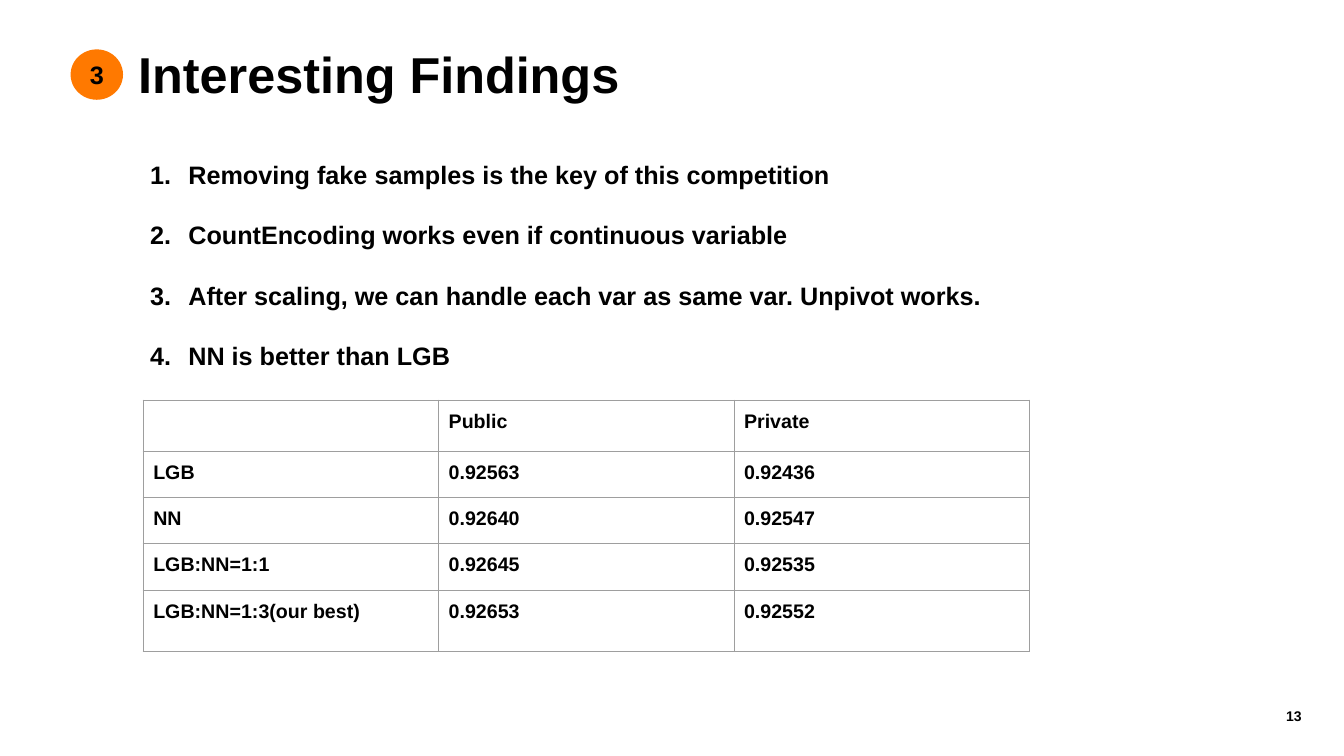
import pptx
import pptx.dml.color
import pptx.enum.shapes
import pptx.enum.text
import pptx.oxml
import pptx.util
from pptx.oxml.ns import nsdecls

Inches, Pt = pptx.util.Inches, pptx.util.Pt
ALIGN = pptx.enum.text.PP_ALIGN
MIDDLE = pptx.enum.text.MSO_ANCHOR.MIDDLE
COLORS = {"text": "000000", "badge": "FF7900", "border": "9E9E9E"}

FINDINGS = [
    "Removing fake samples is the key of this competition",
    "CountEncoding works even if continuous variable",
    "After scaling, we can handle each var as same var. Unpivot works.",
    "NN is better than LGB",
]
SCORES = [
    ["", "Public", "Private"],
    ["LGB", "0.92563", "0.92436"],
    ["NN", "0.92640", "0.92547"],
    ["LGB:NN=1:1", "0.92645", "0.92535"],
    ["LGB:NN=1:3(our best)", "0.92653", "0.92552"],
]
ROW_HEIGHTS = [0.49, 0.46, 0.46, 0.46, 0.61]
COLUMN_WIDTH = 2.93
TEXT_LEFT = 1.27


def add_text(paragraph, text, size, align=ALIGN.LEFT):
    """Add one bold black Arial run and align its paragraph."""
    paragraph.alignment = align
    run = paragraph.add_run()
    run.text = text
    run.font.name = "Arial"
    run.font.size = Pt(size)
    run.font.bold = True
    run.font.color.rgb = pptx.dml.color.RGBColor.from_string(COLORS["text"])


def fit_frame(frame, anchor=MIDDLE):
    """Wrap text at a fixed box size and set the anchor and insets."""
    frame.word_wrap = True
    frame.auto_size = pptx.enum.text.MSO_AUTO_SIZE.NONE
    frame.vertical_anchor = anchor
    frame.margin_left = frame.margin_right = Inches(0.1)
    frame.margin_top = frame.margin_bottom = Inches(0.05)
    return frame


deck = pptx.Presentation()
deck.slide_width, deck.slide_height = Inches(13.33), Inches(7.5)
slide = deck.slides.add_slide(deck.slide_layouts.get_by_name("Title Only"))

# Heading with its section number
title = slide.shapes.title
title.left, title.top = Inches(TEXT_LEFT), Inches(0.36)
title.width, title.height = Inches(5.09), Inches(0.62)
heading = fit_frame(title.text_frame).paragraphs[0]
heading.line_spacing = 1.2
add_text(heading, "Interesting Findings", 36)

badge = slide.shapes.add_shape(
    pptx.enum.shapes.MSO_SHAPE.OVAL,
    Inches(0.7), Inches(0.49), Inches(0.52), Inches(0.5))
badge.shadow.inherit = False
badge.fill.solid()
badge.fill.fore_color.rgb = pptx.dml.color.RGBColor.from_string(COLORS["badge"])
badge.line.fill.background()
add_text(fit_frame(badge.text_frame).paragraphs[0], "3", 18, ALIGN.CENTER)

# Numbered findings
findings = slide.shapes.add_textbox(
    Inches(TEXT_LEFT), Inches(1.23), Inches(10.73), Inches(2.6))
findings_frame = fit_frame(findings.text_frame, pptx.enum.text.MSO_ANCHOR.TOP)
for index, finding in enumerate(FINDINGS):
    item = findings_frame.add_paragraph() if index else findings_frame.paragraphs[0]
    properties = item._p.get_or_add_pPr()
    properties.set("marL", str(Inches(0.5)))
    properties.set("indent", str(Inches(-0.38)))
    for bullet in (
        f'<a:buClr {nsdecls("a")}><a:srgbClr val="{COLORS["text"]}"/></a:buClr>',
        f'<a:buFont {nsdecls("a")} typeface="Arial"/>',
        f'<a:buAutoNum {nsdecls("a")} type="arabicPeriod"/>',
    ):
        properties.append(pptx.oxml.parse_xml(bullet))
    item.line_spacing = 2.0
    add_text(item, finding, 18)

# Score table
scores = slide.shapes.add_table(
    len(SCORES), len(SCORES[0]), Inches(1.42), Inches(3.97),
    Inches(COLUMN_WIDTH * len(SCORES[0])), Inches(sum(ROW_HEIGHTS))).table
scores.first_row = scores.horz_banding = False
for column in scores.columns:
    column.width = Inches(COLUMN_WIDTH)
for row, height, values in zip(scores.rows, ROW_HEIGHTS, SCORES):
    row.height = Inches(height)
    for cell, value in zip(row.cells, values):
        cell.margin_left = cell.margin_right = Inches(0.1)
        cell.margin_top = cell.margin_bottom = Inches(0.1)
        cell.fill.background()
        for position, side in enumerate(("lnL", "lnR", "lnT", "lnB")):
            cell._tc.get_or_add_tcPr().insert(position, pptx.oxml.parse_xml(
                f'<a:{side} {nsdecls("a")} w="{Pt(0.75)}"><a:solidFill>'
                f'<a:srgbClr val="{COLORS["border"]}"/></a:solidFill></a:{side}>'))
        if value:
            add_text(cell.text_frame.paragraphs[0], value, 14)

page_number = slide.shapes.add_textbox(
    Inches(10.01), Inches(6.9), Inches(3), Inches(0.4))
add_text(fit_frame(page_number.text_frame).paragraphs[0], "13", 10, ALIGN.RIGHT)

deck.save("out.pptx")
